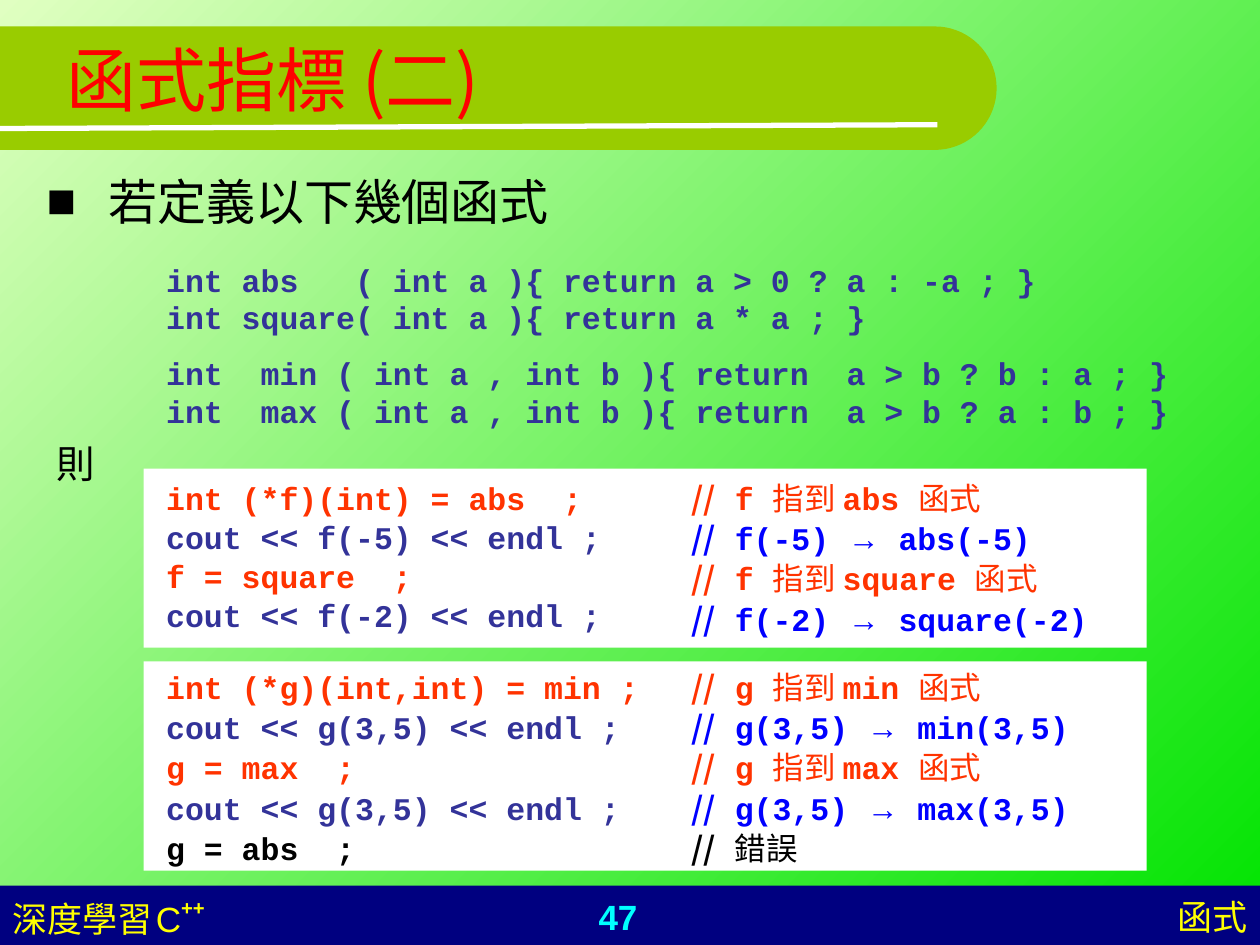
import math
from lxml import etree
from pptx import Presentation
from pptx import util as u
from pptx.dml.color import RGBColor
from pptx.enum import shapes, text
from pptx.oxml import ns

MONO, SANS, CJK = "Courier New", "Arial", "Noto Sans CJK SC"
RED, BLUE, INDIGO, BLACK, YELLOW = "FF3300", "0000FF", "333399", "000000", "FFFF00"


def colour(hex_value):
    return RGBColor.from_string(hex_value)


def place_in_front(slide, placeholder, box):
    placeholder.left, placeholder.top, placeholder.width, placeholder.height = map(u.Inches, box)
    slide.shapes._spTree.append(placeholder._element)


def style(font, size=None, hex_value=None, name=None, bold=None):
    if size:
        font.size = u.Pt(size)
    if hex_value:
        font.color.rgb = colour(hex_value)
    if name:
        font.name = name
    if bold is not None:
        font.bold = bold


def paint(shape, hex_value):
    shape.shadow.inherit = False
    shape.fill.solid()
    shape.fill.fore_color.rgb = colour(hex_value)
    shape.line.fill.background()


def add_bar(slide, box, hex_value):
    bar = slide.shapes.add_shape(shapes.MSO_SHAPE.RECTANGLE, *map(u.Inches, box))
    paint(bar, hex_value)


def add_text(slide, box, content="", align=text.PP_ALIGN.LEFT, **font):
    frame = slide.shapes.add_textbox(*map(u.Inches, box)).text_frame
    frame.word_wrap = True
    paragraph = frame.paragraphs[0]
    paragraph.text = content
    paragraph.alignment = align
    style(paragraph.font, **font)
    return paragraph


def add_run(paragraph, content, **font):
    run = paragraph.add_run()
    run.text = content
    style(run.font, **font)
    return run


def add_backdrop(slide):
    fill = slide.background.fill
    fill.gradient()
    fill.gradient_angle = 315
    for stop, position, hex_value in zip(fill.gradient_stops, (0, 1), ("E0FFC1", "00E400")):
        stop.position = position
        stop.color.rgb = colour(hex_value)


def add_header(slide, box):
    left, top, width, height = box
    radius = height / 2
    centre_x, centre_y = left + width - radius, top + radius
    arc = [(centre_x + radius * math.cos(math.radians(angle)),
            centre_y + radius * math.sin(math.radians(angle)))
           for angle in range(-90, 91, 5)]
    builder = slide.shapes.build_freeform(u.Inches(left), u.Inches(top))
    outline = arc + [(left, top + height)]
    builder.add_line_segments([(u.Inches(x), u.Inches(y)) for x, y in outline], close=True)
    paint(builder.convert_to_shape(), "99CC00")

    ends = (left, top + 0.81, centre_x + 0.02, top + 0.78)
    rule = slide.shapes.add_connector(shapes.MSO_CONNECTOR.STRAIGHT, *map(u.Inches, ends))
    rule.line.color.rgb = colour("FFFFFF")
    rule.line.width = u.Pt(3)
    etree.SubElement(rule._element.spPr, ns.qn("a:effectLst"))


def add_title(slide, box):
    title = slide.shapes.title
    place_in_front(slide, title, box)
    frame = title.text_frame
    frame.vertical_anchor = text.MSO_ANCHOR.MIDDLE
    paragraph = frame.paragraphs[0]
    paragraph.alignment = text.PP_ALIGN.LEFT
    style(paragraph.font, size=40, hex_value="FF0000")
    add_run(paragraph, "函式指標 ", name=SANS)
    add_run(paragraph, "(二)", name=CJK)


def add_body(slide, box):
    body = slide.placeholders[1]
    place_in_front(slide, body, box)
    frame = body.text_frame
    frame.auto_size = text.MSO_AUTO_SIZE.NONE
    paragraph = frame.paragraphs[0]
    paragraph.text = "若定義以下幾個函式"
    paragraph.space_before = u.Pt(0)
    properties = paragraph._p.get_or_add_pPr()
    properties.set("marL", str(u.Inches(0.49)))
    properties.set("indent", str(u.Inches(-0.49)))
    bullet_colour = etree.SubElement(properties, ns.qn("a:buClr"))
    etree.SubElement(bullet_colour, ns.qn("a:srgbClr"), val=BLACK)
    etree.SubElement(properties, ns.qn("a:buChar"), char="■")
    style(paragraph.font, size=28, hex_value=BLACK, name=MONO)


def add_definitions(slide, box):
    font = dict(size=18, hex_value=INDIGO, name=MONO, bold=True)
    unary = add_text(
        slide, box,
        "int abs   ( int a ){ return a > 0 ? a : -a ; }\v"
        "int square( int a ){ return a * a ; }", **font)
    binary = unary._parent.add_paragraph()
    binary.text = ("int  min ( int a , int b ){ return  a > b ? b : a ; }\v"
                   "int  max ( int a , int b ){ return  a > b ? a : b ; }")
    binary.space_before = u.Pt(10)
    style(binary.font, **font)


def points_to(pointer, function):
    return [(f" {pointer} ", MONO, True), ("指到 ", MONO, False),
            (function + " ", MONO, True), ("函式", MONO, False)]


def calls(call, result):
    return [(f" {call} ", MONO, True), ("→", SANS, False), (" " + result, MONO, True)]


def add_panel(slide, box, first_row, code_pitch, rows):
    left, top, width, height = box
    add_bar(slide, box, "FFFFFF")
    for index, (code, code_colour, note_colour, note) in enumerate(rows):
        add_text(slide, (left + 0.08, first_row + index * code_pitch, 4.15, 0.4), code,
                 size=18, hex_value=code_colour, name=MONO, bold=True)
        comment = add_text(slide, (left + 4.25, first_row + index * 0.32, 3.7, 0.4),
                           size=18, hex_value=note_colour)
        for content, name, bold in [("//", CJK, True)] + note:
            add_run(comment, content, name=name, bold=bold)


def add_footer(slide, box):
    add_bar(slide, box, "000080")
    left, top, width, height = box
    row = top + 0.03
    add_text(slide, (left + 3.74, row, 2.33, 0.44), "47", text.PP_ALIGN.CENTER,
             size=20, hex_value="00FFFF", name=SANS, bold=True)
    add_text(slide, (left + width - 3.43, row, 3.43, 0.44), "函式", text.PP_ALIGN.RIGHT,
             size=20, hex_value=YELLOW, name=SANS)
    course = add_text(slide, (left, row, 2.33, 0.44), hex_value=YELLOW, name=SANS)
    add_run(course, "深度學習", size=20)
    add_run(course, " ", size=8)
    add_run(course, "C", size=20)
    plus = add_run(course, "++", size=20, bold=True)
    plus._r.get_or_add_rPr().set("baseline", "46000")


def main():
    deck = Presentation()
    deck.slide_width, deck.slide_height = u.Inches(10), u.Inches(7.5)
    slide = deck.slides.add_slide(deck.slide_layouts[1])
    add_backdrop(slide)
    add_footer(slide, (0, 7.03, 10, 0.47))
    add_header(slide, (0, 0.21, 7.91, 0.98))
    add_title(slide, (0.43, 0, 9, 1.25))
    add_body(slide, (0.27, 1.31, 9, 0.66))
    add_definitions(slide, (1.22, 2.02, 8.35, 1.44))
    add_text(slide, (0.35, 3.44, 0.63, 0.47), "則", size=22, hex_value=BLACK, name=MONO)
    add_panel(slide, (1.14, 3.72, 7.96, 1.42), 3.75, 0.31, [
        ("int (*f)(int) = abs  ;", RED, RED, points_to("f", "abs")),
        ("cout << f(-5) << endl ;", INDIGO, BLUE, calls("f(-5)", "abs(-5)")),
        ("f = square  ;", RED, RED, points_to("f", "square")),
        ("cout << f(-2) << endl ;", INDIGO, BLUE, calls("f(-2)", "square(-2)")),
    ])
    add_panel(slide, (1.14, 5.25, 7.96, 1.66), 5.25, 0.32, [
        ("int (*g)(int,int) = min ;", RED, RED, points_to("g", "min")),
        ("cout << g(3,5) << endl ;", INDIGO, BLUE, calls("g(3,5)", "min(3,5)")),
        ("g = max  ;", RED, RED, points_to("g", "max")),
        ("cout << g(3,5) << endl ;", INDIGO, BLUE, calls("g(3,5)", "max(3,5)")),
        ("g = abs  ;", BLACK, BLACK, [(" 錯誤", MONO, False)]),
    ])
    deck.save("out.pptx")


if __name__ == "__main__":
    main()
